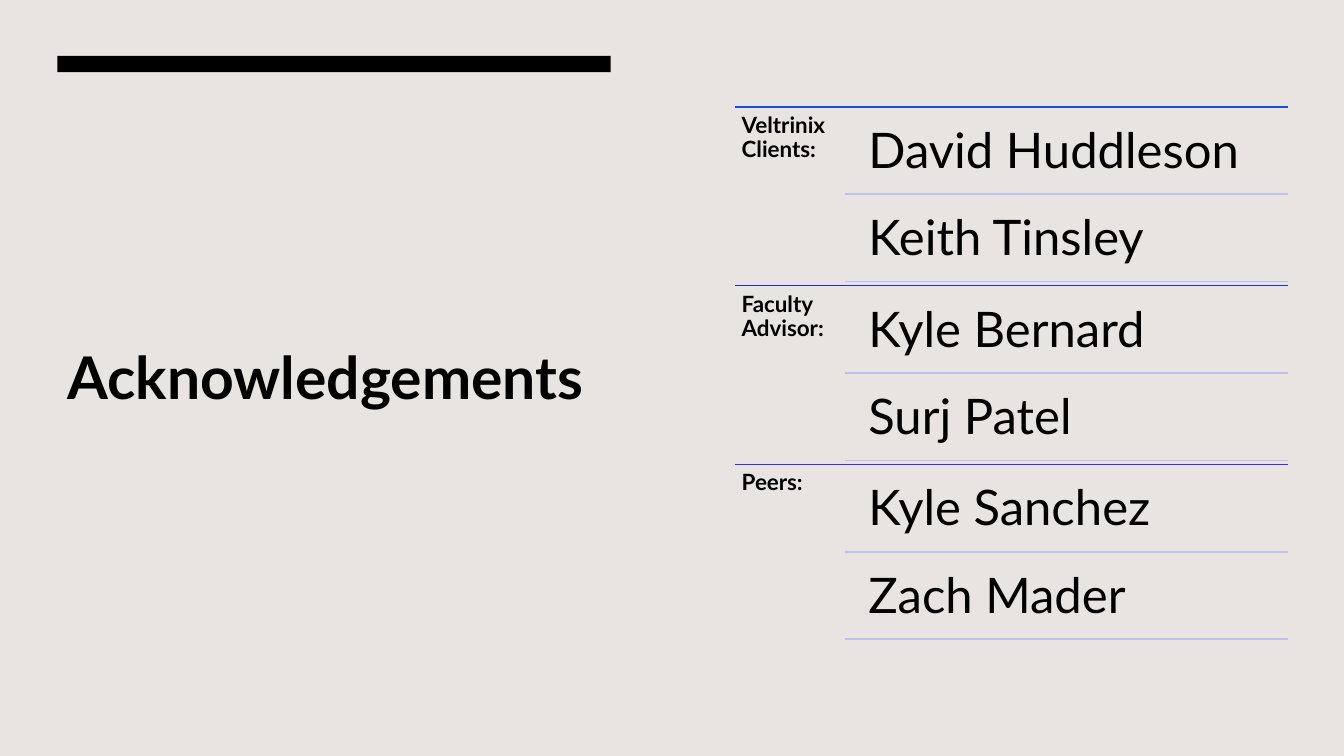
from lxml import etree
from pptx import Presentation
from pptx import util as u
from pptx.dml import color
from pptx.enum import shapes, text
from pptx.oxml import ns

WIDTH, HEIGHT = 960, 540
PAPER, INK, PALE_RULE = "E8E4E2", "000000", "BDC2EB"

LEFT, RIGHT = 524.8, 920.2
LABEL_WIDTH = 79
NAME_LEFT = 609.8
GROUPS_TOP, GROUP_PITCH = 76.4, 127.75
NAME_PITCH, NAME_GAP, NAME_HEIGHT = 62.3, 3, 59.2

GROUPS = [
    ("Veltrinix Clients:", "1750D5", ["David Huddleson", "Keith Tinsley"]),
    ("Faculty Advisor:", "192CE5", ["Kyle Bernard", "Surj Patel"]),
    ("Peers:", "3F29E7", ["Kyle Sanchez", "Zach Mader"]),
]


def rgb(value):
    return color.RGBColor.from_string(value)


class SlideBuilder:
    """Adds elements in one style to the current slide, with lengths in points."""

    font = "Lato"

    def __init__(self, slide):
        self.slide = slide

    def background(self, fill):
        self.slide.background.fill.solid()
        self.slide.background.fill.fore_color.rgb = rgb(fill)

    def bar(self, left, top, width, height, fill):
        shape = self.slide.shapes.add_shape(
            shapes.MSO_SHAPE.RECTANGLE,
            u.Pt(left), u.Pt(top), u.Pt(width), u.Pt(height))
        shape.shadow.inherit = False
        shape.fill.solid()
        shape.fill.fore_color.rgb = rgb(fill)
        shape.line.fill.background()

    def rule(self, left, right, y, stroke):
        """Draws a horizontal line."""
        line = self.slide.shapes.add_connector(
            shapes.MSO_CONNECTOR.STRAIGHT,
            u.Pt(left), u.Pt(y), u.Pt(right), u.Pt(y))
        line.line.color.rgb = rgb(stroke)
        line.line.width = u.Pt(1)
        etree.SubElement(line._element.spPr, ns.qn("a:effectLst"))

    def words(self, content, left, top, width, height, size, inset,
              bold=False, spacing=0.9, anchor=text.MSO_ANCHOR.TOP):
        box = self.slide.shapes.add_textbox(
            u.Pt(left), u.Pt(top), u.Pt(width), u.Pt(height))
        frame = box.text_frame
        frame.word_wrap = True
        frame.vertical_anchor = anchor
        frame.margin_left = frame.margin_right = u.Pt(inset)
        frame.margin_top = frame.margin_bottom = u.Pt(inset)
        paragraph = frame.paragraphs[0]
        paragraph.line_spacing = spacing
        run = paragraph.add_run()
        run.text = content
        run.font.name = self.font
        run.font.size = u.Pt(size)
        run.font.bold = bold
        run.font.color.rgb = rgb(INK)

    def group(self, top, label, stroke, names):
        """Adds a labelled list of names, each with a pale rule below it."""
        self.rule(LEFT, RIGHT, top, stroke)
        self.words(label, LEFT, top, LABEL_WIDTH, GROUP_PITCH,
                   size=16, inset=5, bold=True)
        for row, name in enumerate(names):
            name_top = top + NAME_GAP + row * NAME_PITCH
            self.words(name, NAME_LEFT, name_top, RIGHT - NAME_LEFT,
                       NAME_HEIGHT, size=35, inset=10.5)
            self.rule(LEFT + LABEL_WIDTH, RIGHT,
                      top + (row + 1) * NAME_PITCH, PALE_RULE)


def main():
    presentation = Presentation()
    presentation.slide_width = u.Pt(WIDTH)
    presentation.slide_height = u.Pt(HEIGHT)
    slide = presentation.slides.add_slide(presentation.slide_layouts[6])

    builder = SlideBuilder(slide)
    builder.background(PAPER)
    builder.bar(0, 0, WIDTH, HEIGHT, PAPER)
    builder.words("Acknowledgements", 41, 237.6, 395.3, 61.2, size=42,
                  inset=7.2, bold=True, spacing=1.0,
                  anchor=text.MSO_ANCHOR.MIDDLE)
    builder.bar(41, 40, 395.3, 11.6, INK)
    for index, (label, stroke, names) in enumerate(GROUPS):
        builder.group(GROUPS_TOP + index * GROUP_PITCH, label, stroke, names)

    presentation.save("out.pptx")


if __name__ == "__main__":
    main()
